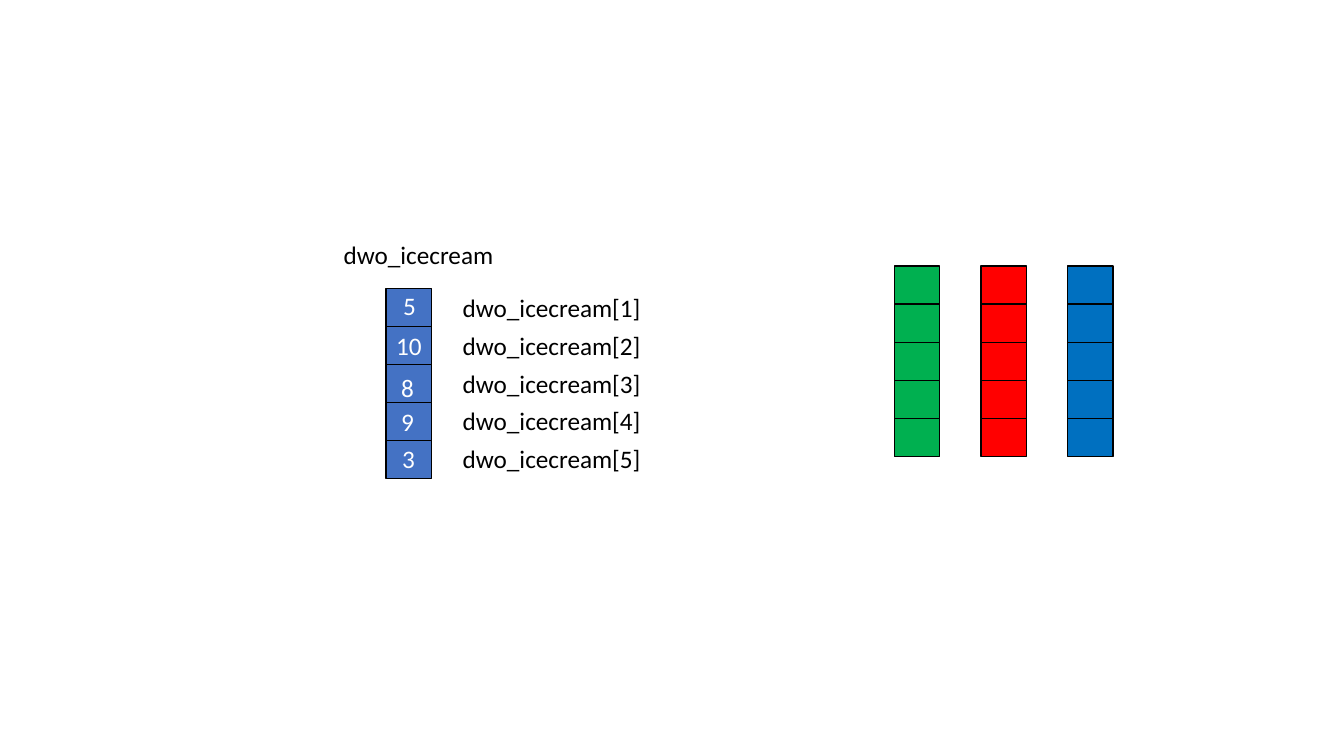
from pptx import Presentation
from pptx.dml.color import RGBColor
from pptx.enum.shapes import MSO_SHAPE
from pptx.enum.text import MSO_AUTO_SIZE
from pptx.util import Inches, Pt

RECTANGLE = MSO_SHAPE.RECTANGLE
FIT_SHAPE = MSO_AUTO_SIZE.SHAPE_TO_FIT_TEXT

BLACK = RGBColor(0x00, 0x00, 0x00)
WHITE = RGBColor(0xFF, 0xFF, 0xFF)
ARRAY_BLUE = RGBColor(0x44, 0x72, 0xC4)
GREEN = RGBColor(0x00, 0xB0, 0x50)
RED = RGBColor(0xFF, 0x00, 0x00)
BLUE = RGBColor(0x00, 0x70, 0xC0)

ARRAY_NAME = "dwo_icecream"
CELL_COUNT = 5
CELL_WIDTH = 0.45
CELL_HEIGHT = 1.89 / CELL_COUNT
ARRAY_LEFT, ARRAY_TOP = 3.83, 2.86
STACK_LEFT, STACK_TOP, STACK_STEP = 8.87, 2.64, 0.86

# Value, left, top and width of each number in the array
ARRAY_VALUES = [
    ("5", 3.9, 2.83, 0.31),
    ("10", 3.83, 3.23, 0.54),
    ("8", 3.88, 3.64, 0.31),
    ("9", 3.88, 3.98, 0.37),
    ("3", 3.89, 4.35, 0.61),
]


class SlideBuilder:
    """Holds the text and line style and the slide being drawn."""

    def __init__(self, slide):
        """Set the slide and its shared style."""
        self.slide = slide
        self.font_name = "Calibri"
        self.font_size = Pt(18)
        self.line_width = Pt(1)

    def cell(self, left, top, fill):
        """Draw one outlined array cell."""
        shape = self.slide.shapes.add_shape(
            RECTANGLE, Inches(left), Inches(top),
            Inches(CELL_WIDTH), Inches(CELL_HEIGHT))
        shape.shadow.inherit = False
        shape.fill.solid()
        shape.fill.fore_color.rgb = fill
        shape.line.color.rgb = BLACK
        shape.line.width = self.line_width

    def stack(self, left, top, fill):
        """Draw a column of touching cells."""
        for row in range(CELL_COUNT):
            self.cell(left, top + row * CELL_HEIGHT, fill)

    def label(self, text, left, top, width, color=BLACK):
        """Write one line of text."""
        box = self.slide.shapes.add_textbox(
            Inches(left), Inches(top), Inches(width), Inches(0.4))
        frame = box.text_frame
        frame.word_wrap = True
        frame.auto_size = FIT_SHAPE
        run = frame.paragraphs[0].add_run()
        run.text = text
        run.font.name = self.font_name
        run.font.size = self.font_size
        run.font.color.rgb = color


def main():
    """Build the array slide and save it."""
    presentation = Presentation()
    presentation.slide_width = Inches(13.33)
    presentation.slide_height = Inches(7.5)
    blank_layout = presentation.slide_layouts[6]
    builder = SlideBuilder(presentation.slides.add_slide(blank_layout))

    builder.stack(ARRAY_LEFT, ARRAY_TOP, ARRAY_BLUE)
    builder.label(ARRAY_NAME, 3.31, 2.33, 2.06)
    for value, left, top, width in ARRAY_VALUES:
        builder.label(value, left, top, width, WHITE)
    for row in range(CELL_COUNT):
        builder.label(f"{ARRAY_NAME}[{row + 1}]", 4.49,
                      2.85 + row * 0.375, 2.28)

    for column, color in enumerate((GREEN, RED, BLUE)):
        builder.stack(STACK_LEFT + column * STACK_STEP, STACK_TOP, color)

    presentation.save("out.pptx")


main()
